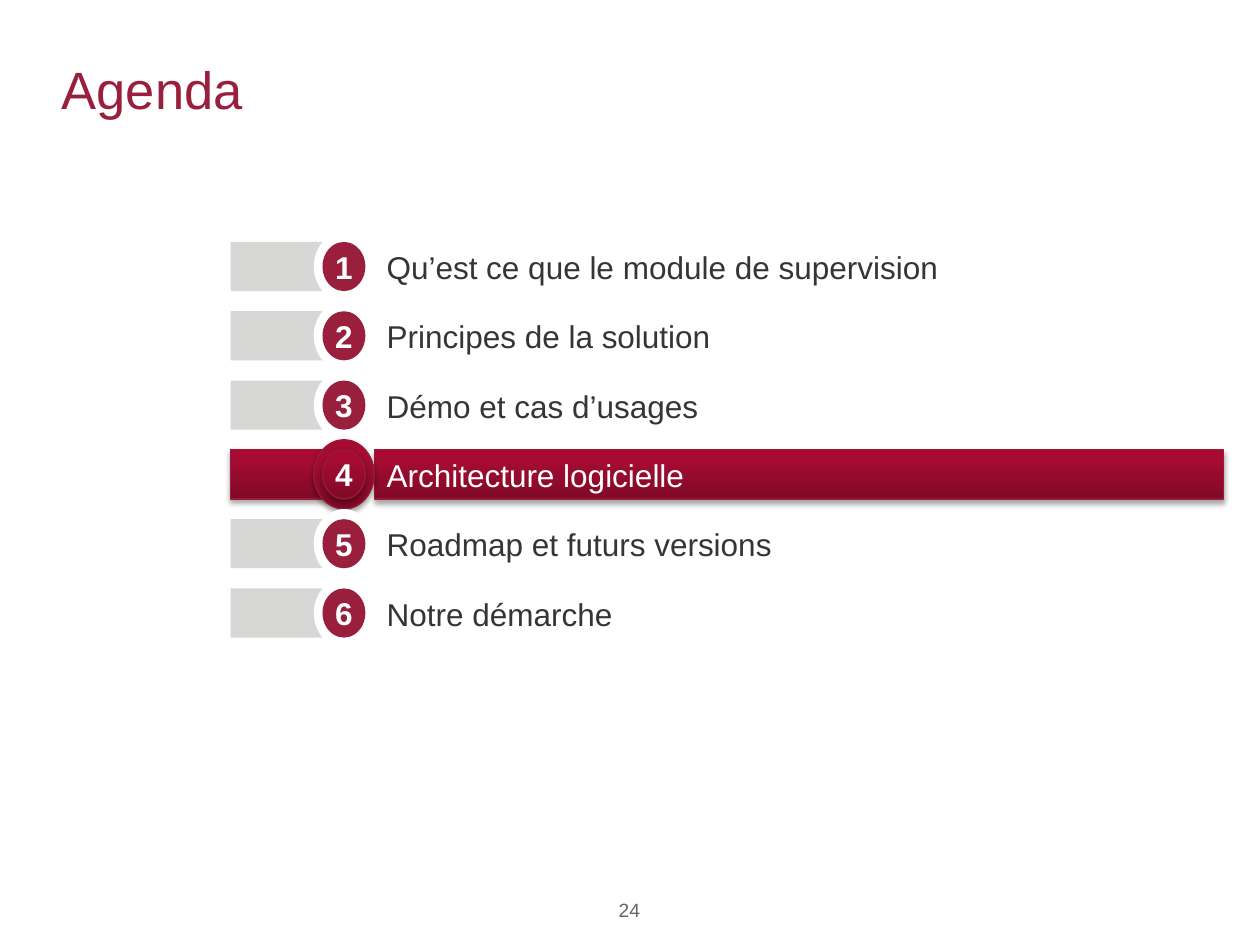
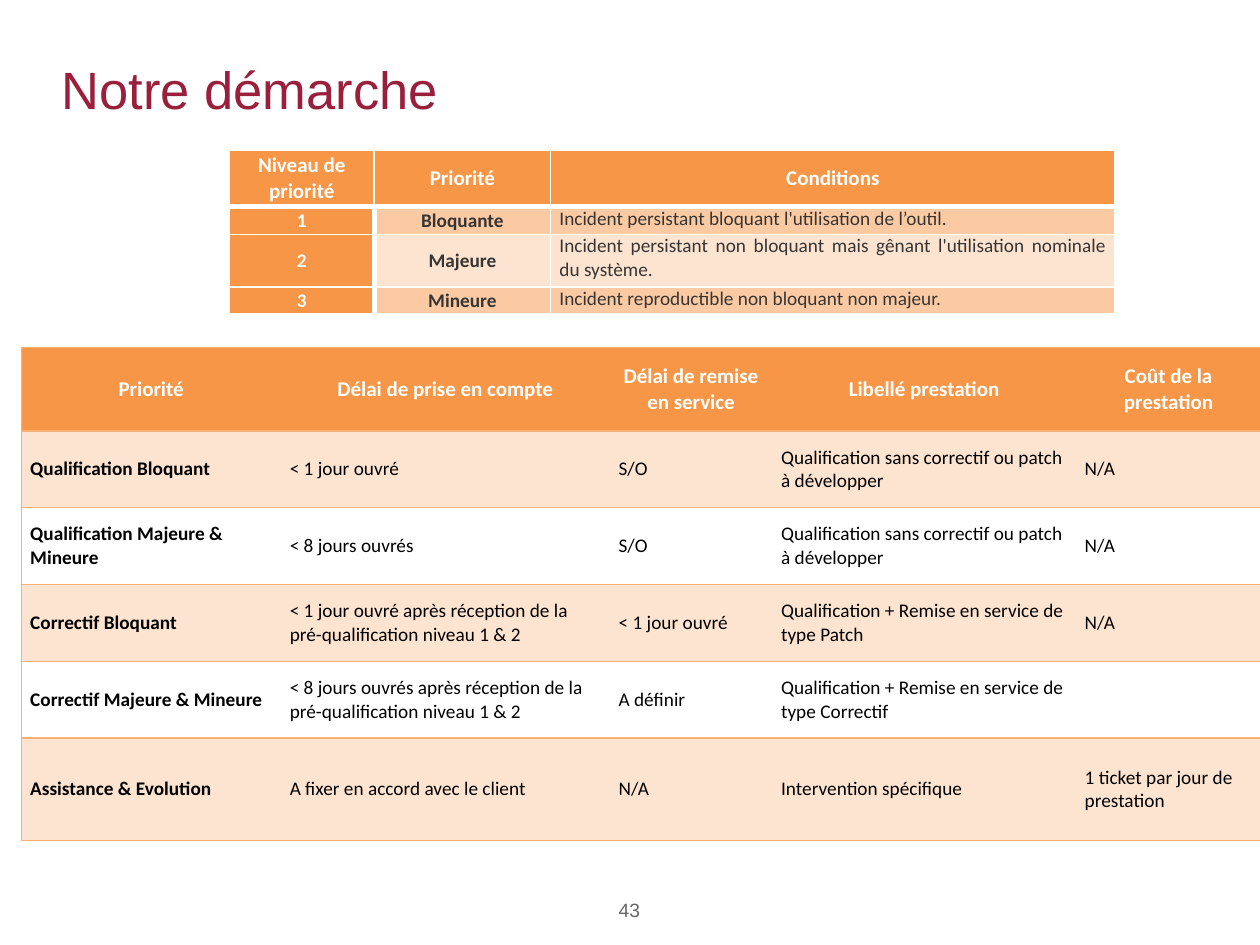
from dataclasses import dataclass

from lxml import etree
from pptx import Presentation
from pptx.dml.color import RGBColor
from pptx.enum.shapes import MSO_SHAPE
from pptx.enum.text import MSO_ANCHOR, PP_ALIGN
from pptx.oxml import parse_xml
from pptx.oxml.ns import nsdecls, qn
from pptx.util import Inches, Pt

RECT, OVAL = MSO_SHAPE.RECTANGLE, MSO_SHAPE.OVAL
TOP, MIDDLE = MSO_ANCHOR.TOP, MSO_ANCHOR.MIDDLE
LEFT, CENTER, JUSTIFY = PP_ALIGN.LEFT, PP_ALIGN.CENTER, PP_ALIGN.JUSTIFY
BLANK = 6

WIDTH, HEIGHT = 10, 7.5     # slide, inches
COLUMNS, ROWS = 100, 75     # grid laid over the slide
COLUMN, ROW = Inches(WIDTH) / COLUMNS, Inches(HEIGHT) / ROWS


@dataclass
class Theme:
    """Colours and type styles shared by all slides."""
    crimson = "991F3D"
    ring = "FFFFFF"
    tab = "D7D7D6"
    active_line = "991B3A"
    active_stops = ((0, "800927"), (80, "A60C32"), (100, "AA0931"))
    orange = "F79646"
    orange_line = "F9B074"
    band = "FBCAA2"
    pale = "FDE4D0"
    white = "FFFFFF"
    title = dict(name="Arial", size=30, color="991F3D")
    number = dict(name="Arial", size=11, color="666666")
    entry = dict(name="Arial", size=18, color="363534")
    active = dict(entry, color="FFFFFF")
    badge = dict(active, bold=True)
    head = dict(name="Calibri", size=12, color="FFFFFF", bold=True)
    level = dict(head, size=11)
    name = dict(level, color="363534")
    note = dict(name, bold=False)
    cell = dict(note, color="000000")
    strong = dict(cell, bold=True)


theme = Theme()


@dataclass
class Box:
    """An area of the slide in grid columns and rows."""
    col: float
    row: float
    cols: float
    rows: float

    def area(self, col, row, cols, rows):
        return Box(self.col + col, self.row + row, cols, rows)

    def place(self):
        return (round(self.col * COLUMN), round(self.row * ROW),
                round(self.cols * COLUMN), round(self.rows * ROW))


PAGE = Box(0, 0, COLUMNS, ROWS)


# Text and shapes

def write(frame, text, style, align=LEFT):
    frame.text = text
    for para in frame.paragraphs:
        para.alignment = align
        for span in para.runs:
            formats = dict(style, size=Pt(style["size"]))
            span.font.color.rgb = RGBColor.from_string(formats.pop("color"))
            for key, value in formats.items():
                setattr(span.font, key, value)


def set_frame(frame, anchor=TOP, inset=(0, 0, 0, 0), wrap=True):
    sides = ("margin_left", "margin_top", "margin_right", "margin_bottom")
    formats = dict(zip(sides, map(Inches, inset)),
                   vertical_anchor=anchor, word_wrap=wrap)
    for key, value in formats.items():
        setattr(frame, key, value)


def add_text(page, box, text, style, align=LEFT, **layout):
    frame = page.shapes.add_textbox(*box.place()).text_frame
    set_frame(frame, **layout)
    write(frame, text, style, align)


def add_block(page, kind, box, color):
    """A flat shape, or a glossy one with a shadow when color is None."""
    shape = page.shapes.add_shape(kind, *box.place())
    shape.shadow.inherit = False
    if color is None:
        add_gloss(shape)
    else:
        shape.fill.solid()
        shape.fill.fore_color.rgb = RGBColor.from_string(color)
        shape.line.fill.background()
    return shape


def add_gloss(shape):
    shape.line.color.rgb = RGBColor.from_string(theme.active_line)
    shape.line.width = Pt(0.75)
    stops = "".join(
        f'<a:gs pos="{share * 1000}"><a:srgbClr val="{color}"/></a:gs>'
        for share, color in theme.active_stops)
    properties = shape._element.spPr
    properties.find(qn("a:prstGeom")).addnext(parse_xml(
        f'<a:gradFill {nsdecls("a")} rotWithShape="1"><a:gsLst>{stops}'
        '</a:gsLst><a:lin ang="16200000" scaled="0"/></a:gradFill>'))
    properties.find(qn("a:effectLst")).append(parse_xml(
        f'<a:outerShdw {nsdecls("a")} blurRad="{Pt(3.1)}" dist="{Pt(1.8)}" '
        'dir="5400000" rotWithShape="0"><a:srgbClr val="000000">'
        '<a:alpha val="35000"/></a:srgbClr></a:outerShdw>'))


# Frame of every slide

def add_page(deck, title, number):
    page = deck.slides.add_slide(deck.slide_layouts[BLANK])
    add_text(page, PAGE.area(4.9, 2, 90.1, 10.1), title, theme.title,
             anchor=MIDDLE)
    add_text(page, PAGE.area(45.7, 71.3, 8.5, 2.6), number, theme.number,
             CENTER, wrap=False)
    return page


# Agenda

def add_entry(page, box, number, text, active):
    tab, ring, dot = ((None,) * 3 if active
                      else (theme.tab, theme.ring, theme.crimson))
    label = box.area(11.4, 0, box.cols - 11.4, box.rows)
    inset = (0.1, 0.05, 0, 0.05)
    if active:
        frame = add_block(page, RECT, label, None).text_frame
        set_frame(frame, inset=inset)
        write(frame, text, theme.active)
    else:
        add_text(page, label, text, theme.entry, inset=inset)
    add_block(page, RECT, box.area(0, 0, 8.6, box.rows), tab)
    add_block(page, OVAL, box.area(6.6, -0.8, 4.8, box.rows + 1.6), ring)
    frame = add_block(page, OVAL, box.area(7.3, 0, 3.4, box.rows),
                      dot).text_frame
    set_frame(frame, anchor=MIDDLE, wrap=False)
    write(frame, str(number), theme.badge, CENTER)


def add_agenda(page, box, entries, current):
    pitch = box.rows / len(entries)
    for index, text in enumerate(entries):
        add_entry(page, box.area(0, index * pitch, box.cols, 3.9),
                  index + 1, text, index + 1 == current)


# Tables

def set_borders(cell, borders):
    """Draw each side as (colour, points), or clear it when None."""
    properties = cell._tc.get_or_add_tcPr()
    for side in "LRTB":
        edge = etree.SubElement(properties, qn(f"a:ln{side}"))
        if borders.get(side) is None:
            etree.SubElement(edge, qn("a:noFill"))
            continue
        color, points = borders[side]
        edge.set("w", str(Pt(points)))
        fill = etree.SubElement(edge, qn("a:solidFill"))
        etree.SubElement(fill, qn("a:srgbClr")).set("val", color)


def add_table(page, box, widths, heights, texts, look):
    """look(row, col) gives the style, alignment, anchor, fill and borders."""
    table = page.shapes.add_table(len(heights), len(widths),
                                  *box.place()).table
    table.first_row = table.horz_banding = False
    for column, width in zip(table.columns, widths):
        column.width = round(width * COLUMN)
    for line, height in zip(table.rows, heights):
        line.height = round(height * ROW)
    for row, line in enumerate(texts):
        for col, text in enumerate(line):
            cell = table.cell(row, col)
            style, align, anchor, color, borders = look(row, col)
            set_borders(cell, borders)
            if color:
                cell.fill.solid()
                cell.fill.fore_color.rgb = RGBColor.from_string(color)
            else:
                cell.fill.background()
            formats = dict(margin_left=Inches(0.07), margin_right=Inches(0.07),
                           margin_top=0, margin_bottom=0,
                           vertical_anchor=anchor)
            for key, value in formats.items():
                setattr(cell, key, value)
            if text:
                write(cell.text_frame, text, style, align)


def priority_look(row, col):
    thin, thick = (theme.white, 1), (theme.white, 3)
    borders = dict(L=thick if row and col == 1 else thin,
                   R=thick if row and col == 0 else thin,
                   T=thick if row == 1 else thin,
                   B=thick if row == 0 else thin)
    if row == 0:
        return theme.head, CENTER, MIDDLE, theme.orange, borders
    if col == 0:
        return theme.level, CENTER, MIDDLE, theme.orange, borders
    color = theme.band if row % 2 else theme.pale
    if col == 1:
        return theme.name, CENTER, MIDDLE, color, borders
    return theme.note, JUSTIFY, TOP, color, borders


def service_look(row, col):
    line = (theme.orange_line, 1)
    borders = dict(T=line, B=line, L=line if col == 0 else None,
                   R=line if col == 4 else None)
    if row == 0:
        return theme.head, CENTER, MIDDLE, theme.orange, borders
    style = theme.cell if col else theme.strong
    return style, LEFT, MIDDLE, theme.pale if row % 2 else None, borders


AGENDA = ("Qu’est ce que le module de supervision",
          "Principes de la solution",
          "Démo et cas d’usages",
          "Architecture logicielle",
          "Roadmap et futurs versions",
          "Notre démarche")

PRIORITIES = (
    ("Niveau de\npriorité", "Priorité", "Conditions"),
    ("1", "Bloquante",
     "Incident persistant bloquant l'utilisation de l’outil."),
    ("2", "Majeure", "Incident persistant non bloquant mais gênant "
     "l'utilisation nominale du système."),
    ("3", "Mineure", "Incident reproductible non bloquant non majeur."))

CHECK = "Qualification sans correctif ou patch à développer"
REPAIR = "Qualification + Remise en service de type "
AFTER = " après réception de la pré-qualification niveau 1 & 2"
SERVICES = (
    ("Priorité", "Délai de prise en compte", "Délai de remise en service",
     "Libellé prestation", "Coût de la prestation"),
    ("Qualification Bloquant", "< 1 jour ouvré", "S/O", CHECK, "N/A"),
    ("Qualification Majeure & Mineure", "< 8 jours ouvrés", "S/O", CHECK,
     "N/A"),
    ("Correctif Bloquant", "< 1 jour ouvré" + AFTER, "< 1 jour ouvré",
     REPAIR + "Patch", "N/A"),
    ("Correctif Majeure & Mineure", "< 8 jours ouvrés" + AFTER, "A définir",
     REPAIR + "Correctif", ""),
    ("Assistance & Evolution", "A fixer en accord avec le client", "N/A",
     "Intervention spécifique", "1 ticket par jour de prestation"))


def main():
    deck = Presentation()
    deck.slide_width, deck.slide_height = Inches(WIDTH), Inches(HEIGHT)

    page = add_page(deck, "Agenda", "24")
    add_agenda(page, PAGE.area(18.3, 19.2, 78.8, 33), AGENDA, current=4)

    page = add_page(deck, "Notre démarche", "43")
    add_table(page, PAGE.area(1.7, 27.6, 98.3, 39.1),
              (20.6, 26.1, 12.9, 24.1, 14.7),
              (6.6, 6.1, 6.1, 6.1, 6.1, 8.1), SERVICES, service_look)
    add_table(page, PAGE.area(18.2, 11.9, 70.3, 13), (11.5, 14, 44.8),
              (4.5, 2.2, 4.2, 2.1), PRIORITIES, priority_look)
    deck.save("out.pptx")


main()
